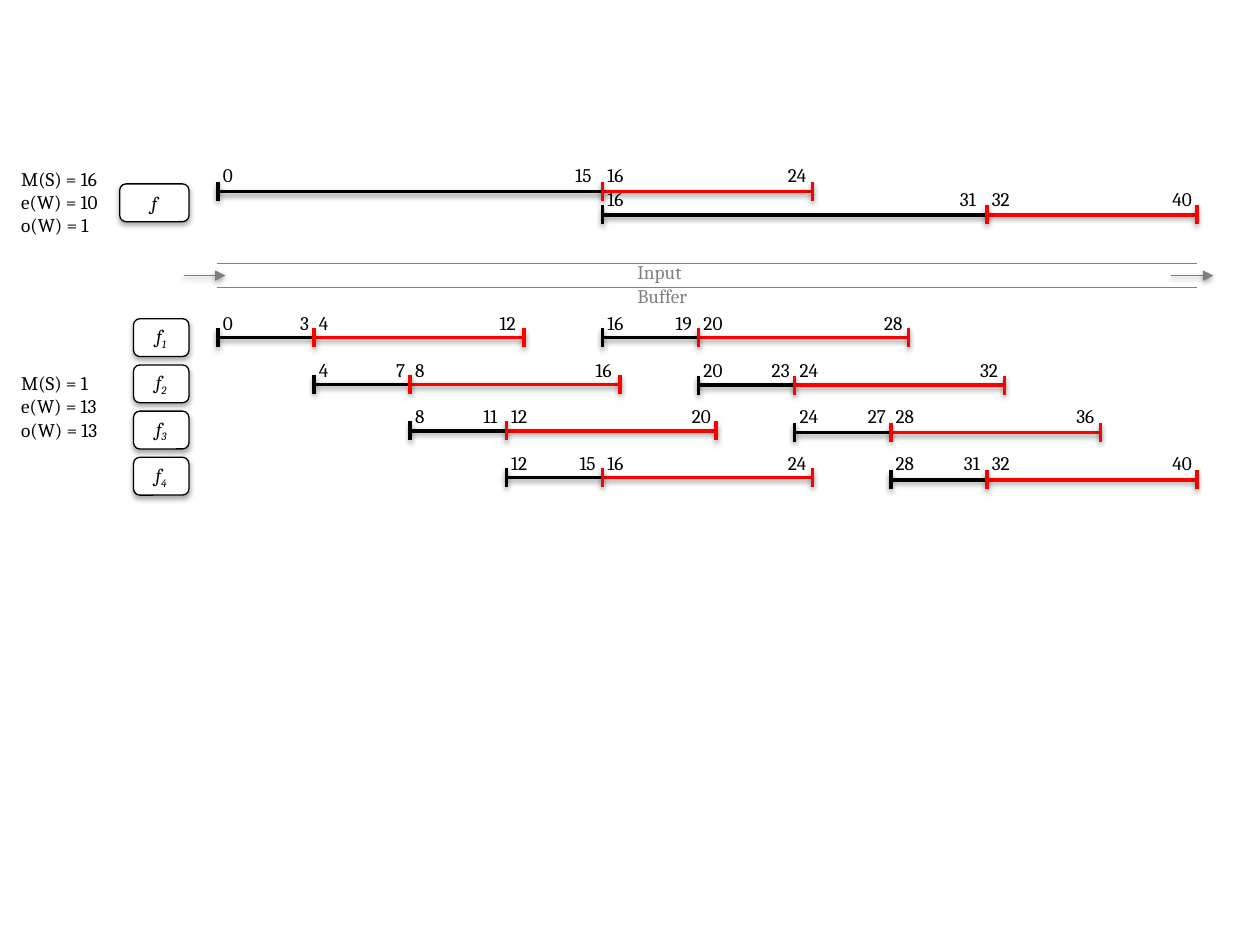
from dataclasses import dataclass
from lxml.etree import SubElement
from pptx import Presentation
from pptx.dml.color import RGBColor
from pptx.enum.shapes import MSO_CONNECTOR, MSO_SHAPE
from pptx.enum.text import MSO_ANCHOR, PP_ALIGN
from pptx.oxml.ns import qn
from pptx.util import Pt


@dataclass(frozen=True)
class Theme:
    font: str = "Cambria"
    size: float = 11
    black: str = "000000"
    red: str = "FF0000"
    white: str = "FFFFFF"
    gray: str = "808080"
    arrow: str = "7F7F7F"
    bold: float = 2
    thin: float = 0.75


theme = Theme()

TASKS = [
    ("f", "", 68.4, 105.12, 39.6),
    *[("f", str(n + 1), 76.32, 182.16 + 26.4 * n, 31.68) for n in range(4)],
]
NOTES = [
    (92.16, ["M(S) = 16", "e(W) = 10", "o(W) = 1"]),
    (208.8, ["M(S) = 1", "e(W) = 13", "o(W) = 13"]),
]
BARS = [(0, 16, 109.44, 90), (16, 16, 122.76, 103.5)]
for col, pitch in enumerate((26.64, 27.1)):
    for row in range(4):
        BARS.append((4 * row + 16 * col, 4, 192.96 + pitch * row,
                     174.24 + 26.64 * row))
RAILS = [150.48, 164.16]
ARROWS = [(105.12, 128.88), (668.88, 693.36)]

ORIGIN, STEP, TAIL, TICK = 124.6, 13.73, 119.9, 5.4
SPAN = 8

deck = Presentation()
deck.slide_width, deck.slide_height = Pt(720), Pt(540)
slide = deck.slides.add_slide(deck.slide_layouts[6])
shapes = slide.shapes


def shade(shape, alpha, dist):
    props = shape.element.spPr
    for old in props.findall(qn("a:effectLst")):
        props.remove(old)
    glow = SubElement(SubElement(props, qn("a:effectLst")), qn("a:outerShdw"),
                      blurRad=str(Pt(3.1)), dist=str(Pt(dist)),
                      dir="5400000", rotWithShape="0")
    tint = SubElement(glow, qn("a:srgbClr"), val=theme.black)
    SubElement(tint, qn("a:alpha"), val=str(alpha * 1000))


def line(x1, y1, x2, y2, color, width, head=False):
    link = shapes.add_connector(MSO_CONNECTOR.STRAIGHT,
                                Pt(x1), Pt(y1), Pt(x2), Pt(y2))
    link.line.color.rgb = RGBColor.from_string(color)
    link.line.width = Pt(width)
    if head:
        SubElement(link.element.spPr.find(qn("a:ln")), qn("a:tailEnd"),
                   type="triangle")
    shade(link, 38, 1.6)


def write(para, text, color=theme.black):
    run = para.add_run()
    run.text = text
    run.font.name = theme.font
    run.font.size = Pt(theme.size)
    run.font.color.rgb = RGBColor.from_string(color)
    return run


def label(x, y, w, h, lines, color=theme.black):
    frame = shapes.add_textbox(Pt(x), Pt(y), Pt(w), Pt(h)).text_frame
    frame.word_wrap = True
    for n, text in enumerate(lines):
        para = frame.add_paragraph() if n else frame.paragraphs[0]
        write(para, text, color)


def task(name, sub, x, y, w):
    box = shapes.add_shape(MSO_SHAPE.ROUNDED_RECTANGLE,
                           Pt(x), Pt(y), Pt(w), Pt(21.6))
    box.fill.solid()
    box.fill.fore_color.rgb = RGBColor.from_string(theme.white)
    box.line.color.rgb = RGBColor.from_string(theme.black)
    box.line.width = Pt(theme.thin)
    box.shadow.inherit = False
    shade(box, 35, 1.8)
    frame = box.text_frame
    frame.vertical_anchor = MSO_ANCHOR.MIDDLE
    para = frame.paragraphs[0]
    para.alignment = PP_ALIGN.CENTER
    write(para, name).font.italic = True
    if sub:
        run = write(para, sub)
        run.font.italic = True
        run._r.get_or_add_rPr().set("baseline", "-25000")


def bar(start, size, y, top):
    left = ORIGIN + STEP * start
    mid = left + STEP * size
    end = mid + TAIL
    line(left, y, mid, y, theme.black, theme.bold)
    line(mid, y, end, y, theme.red, theme.bold)
    for x, color in ((left, theme.black), (mid, theme.red), (end, theme.red)):
        line(x, y + TICK, x, y - TICK, color, theme.bold)
    last = start + size - 1
    back = 15.1 if last < 10 else 20.2 if size == 4 else 22.5
    for x, value in ((left - 4.3, start), (mid - back, last),
                     (mid - 4.3, last + 1), (end - 21, last + 1 + SPAN)):
        label(x, top, 25.92, 20.88, [str(value)])


for item in TASKS:
    task(*item)
for y, lines in NOTES:
    label(5.04, y, 62.64, 47.52, lines)
for item in BARS:
    bar(*item)
for y in RAILS:
    line(123.84, y, 684, y, theme.gray, theme.thin)
for x1, x2 in ARROWS:
    line(x1, 157.5, x2, 157.5, theme.arrow, theme.thin, True)
label(357.12, 145.44, 68.4, 20.88, ["Input Buffer"], theme.gray)

deck.save("out.pptx")
